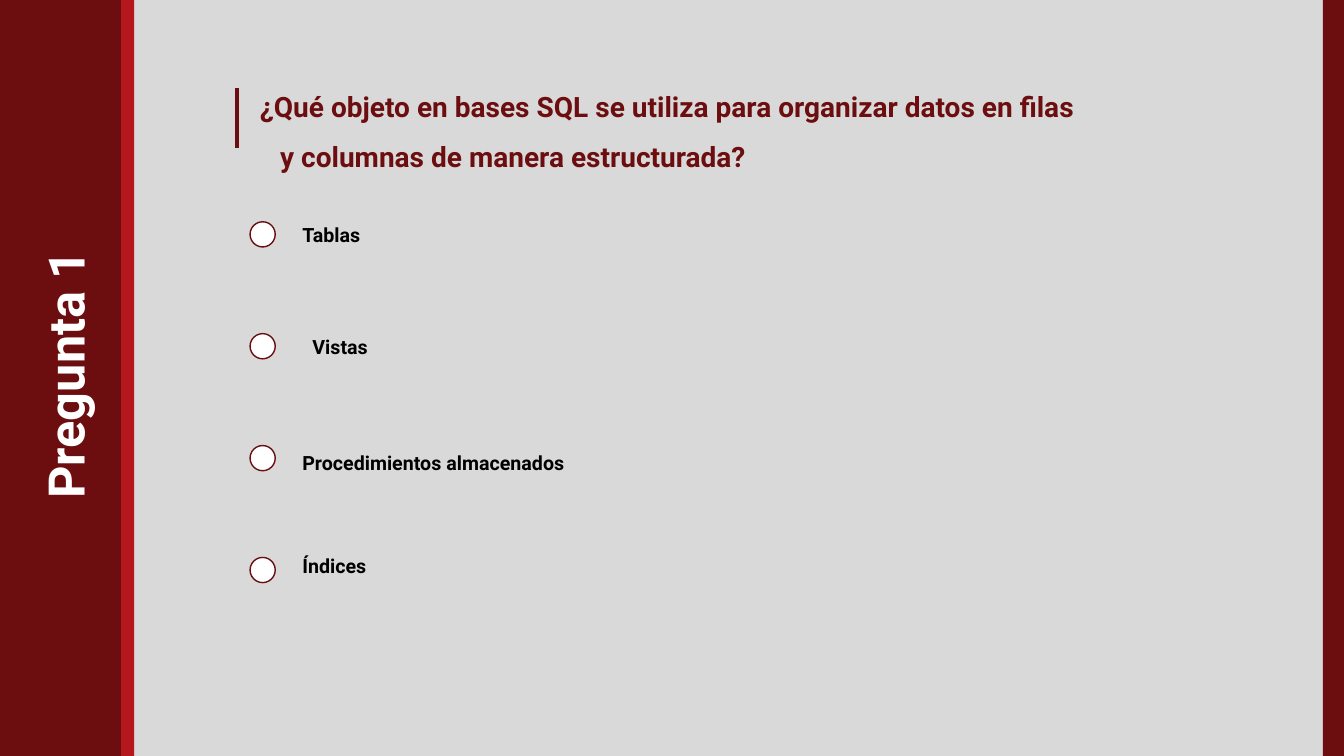
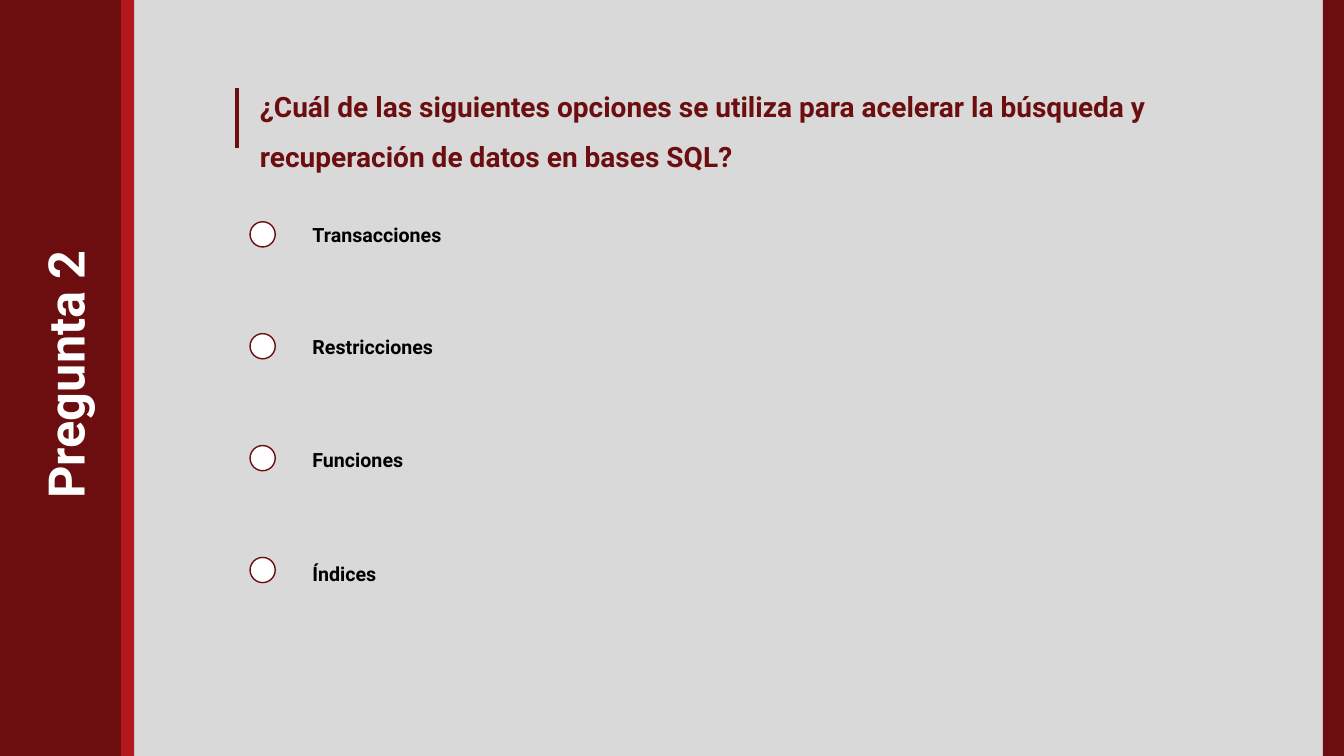
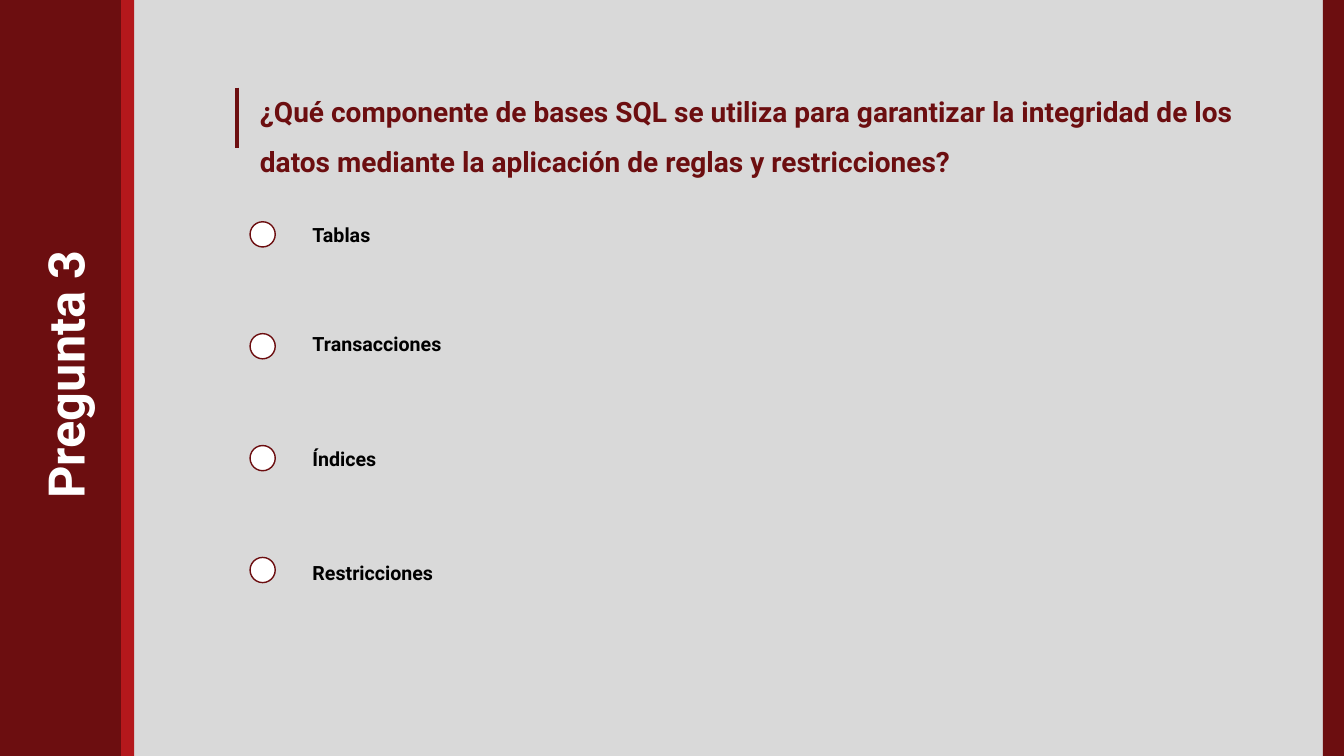
from lxml import etree
from pptx import Presentation
from pptx.dml.color import RGBColor
from pptx.enum.shapes import MSO_CONNECTOR, MSO_SHAPE
from pptx.enum.text import MSO_AUTO_SIZE, PP_ALIGN
from pptx.oxml.ns import qn
from pptx.util import Inches, Pt

RECTANGLE, OVAL = MSO_SHAPE.RECTANGLE, MSO_SHAPE.OVAL
STRAIGHT = MSO_CONNECTOR.STRAIGHT
LEFT, CENTER, JUSTIFY = PP_ALIGN.LEFT, PP_ALIGN.CENTER, PP_ALIGN.JUSTIFY
GROW = MSO_AUTO_SIZE.SHAPE_TO_FIT_TEXT

FONT = "Roboto"
MAROON, RED, GREY, WHITE, BLACK = "6C0E10", "B4181C", "D9D9D9", "FFFFFF", "000000"
WIDTH, HEIGHT = 13.33, 7.5
BANDS = [
    (0, WIDTH, GREY),
    (1.08, 0.25, RED),
    (13.12, WIDTH - 13.12, MAROON),
    (0, 1.2, MAROON),
]
OPTION_TOP, OPTION_STEP, BULLET_SIZE = 2.2, 1.11, 0.25

QUESTIONS = [
    {
        "lines": ["¿Qué objeto en bases SQL se utiliza para organizar datos en filas",
                  "y columnas de manera estructurada?"],
        "top": 0.67, "width": 9.13, "align": JUSTIFY,
        "options": [("Tablas", 2.9, 2.16), ("Vistas", 3, 3.27),
                    ("Procedimientos almacenados", 2.9, 4.42), ("Índices", 2.9, 5.45)],
    },
    {
        "lines": ["¿Cuál de las siguientes opciones se utiliza para acelerar la búsqueda y "
                  "recuperación de datos en bases SQL?"],
        "top": 0.67, "width": 9.68, "align": LEFT,
        "options": [("Transacciones", 3, 2.16), ("Restricciones", 3, 3.27),
                    ("Funciones", 3, 4.39), ("Índices", 3, 5.53)],
    },
    {
        "lines": ["¿Qué componente de bases SQL se utiliza para garantizar la integridad de los "
                  "datos mediante la aplicación de reglas y restricciones?"],
        "top": 0.72, "width": 9.95, "align": LEFT,
        "options": [("Tablas", 3, 2.16), ("Transacciones", 3, 3.24),
                    ("Índices", 3, 4.38), ("Restricciones", 3, 5.52)],
    },
]


def color(code):
    return RGBColor.from_string(code)


def add_text(slide, lines, left, top, width, height, size, code, align, spacing=1.0):
    box = slide.shapes.add_textbox(Inches(left), Inches(top), Inches(width), Inches(height))
    frame = box.text_frame
    frame.word_wrap = True
    frame.auto_size = GROW
    frame.text = "\n".join(lines)
    for paragraph in frame.paragraphs:
        paragraph.alignment = align
        paragraph.line_spacing = spacing
        for run in paragraph.runs:
            run.font.name = FONT
            run.font.size = Pt(size)
            run.font.bold = True
            run.font.color.rgb = color(code)
    return box


prs = Presentation()
prs.slide_width, prs.slide_height = Inches(WIDTH), Inches(HEIGHT)
blank = prs.slide_layouts[6]

for number, question in enumerate(QUESTIONS, 1):
    slide = prs.slides.add_slide(blank)

    for left, width, code in BANDS:
        band = slide.shapes.add_shape(RECTANGLE, Inches(left), 0, Inches(width), Inches(HEIGHT))
        band.shadow.inherit = False
        band.fill.solid()
        band.fill.fore_color.rgb = color(code)
        band.line.fill.background()

    title = add_text(slide, [f"Pregunta {number}"], -2.14, 3.36, 5.57, 0.71, 36, WHITE, CENTER)
    title.rotation = 270

    prompt = add_text(slide, question["lines"], 2.48, question["top"], question["width"], 1.05,
                      20, MAROON, question["align"], 1.5)
    for continuation in prompt.text_frame.paragraphs[1:]:
        continuation._p.get_or_add_pPr().set("marL", str(Inches(0.2)))

    accent = slide.shapes.add_connector(STRAIGHT, Inches(2.35), Inches(0.87), Inches(2.35), Inches(1.47))
    accent.line.color.rgb = color(MAROON)
    accent.line.width = Pt(3)
    etree.SubElement(accent._element.spPr, qn("a:effectLst"))

    for row, (option, left, top) in enumerate(question["options"]):
        add_text(slide, [option], left, top, 7.85, 0.34, 14, BLACK, JUSTIFY)
        bullet = slide.shapes.add_shape(OVAL, Inches(2.48), Inches(OPTION_TOP + row * OPTION_STEP),
                                        Inches(BULLET_SIZE), Inches(BULLET_SIZE))
        bullet.shadow.inherit = False
        bullet.fill.solid()
        bullet.fill.fore_color.rgb = color(WHITE)
        bullet.line.color.rgb = color(MAROON)
        bullet.line.width = Pt(1)

prs.save("out.pptx")
